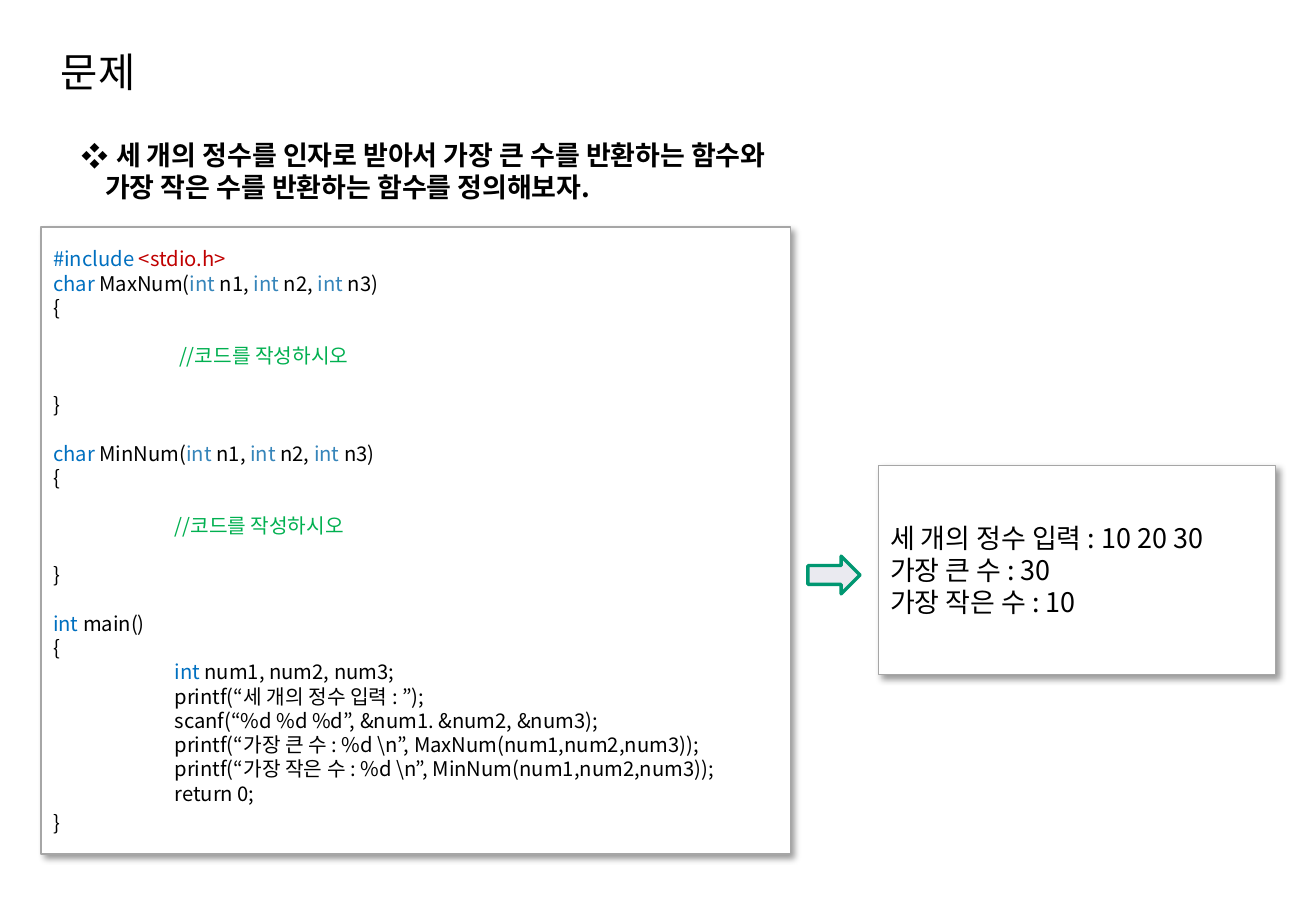
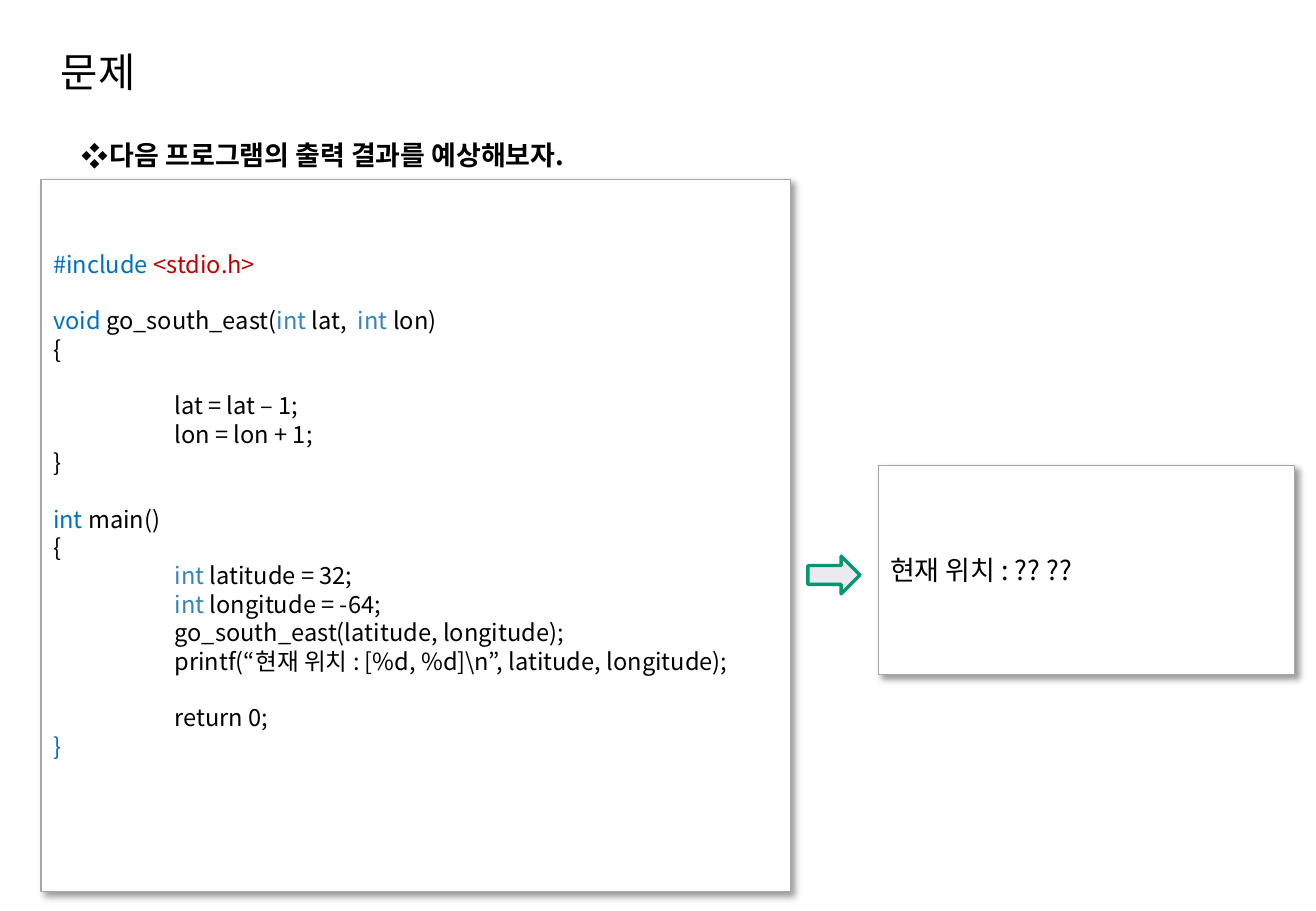
from dataclasses import dataclass

from lxml.etree import SubElement
from pptx import Presentation
from pptx.dml.color import RGBColor
from pptx.enum.shapes import MSO_SHAPE as SHAPE
from pptx.enum.text import MSO_ANCHOR as ANCHOR, PP_ALIGN as ALIGN
from pptx.oxml.ns import qn
from pptx.util import Cm, Pt

BLACK = RGBColor(0x00, 0x00, 0x00)
WHITE = RGBColor(0xFF, 0xFF, 0xFF)
GREY = RGBColor(0xA6, 0xA6, 0xA6)
BLUE = RGBColor(0x00, 0x70, 0xC0)
STEEL = RGBColor(0x36, 0x85, 0xBA)
RED = RGBColor(0xC0, 0x00, 0x00)
GREEN = RGBColor(0x00, 0xB0, 0x50)
TEAL = RGBColor(0x00, 0x97, 0x71)
NAVY = RGBColor(0x17, 0x17, 0x5C)

FONT = "Noto Sans CJK KR"
PITCH = 1.2
TAB = Cm(2.54)
TITLE_BOX = (Cm(1.02), Cm(0.81), Cm(15.9), Cm(1.37))
ARROW_BOX = (Cm(16.89), Cm(11.63), Cm(1.09), Cm(0.79))


@dataclass
class Line:
    """One line of text: coloured runs, tab depth and blank lines above it."""
    runs: list
    depth: int = 0
    gap: float = 0


def code(text, colour=BLACK, depth=0, gap=0):
    """Return a line of a single colour."""
    return Line([(text, colour)], depth, gap)


def declare(keyword, rest, colour=BLUE, depth=0, gap=0):
    """Return a line that opens with a coloured keyword."""
    return Line([(keyword + " ", colour), (rest, BLACK)], depth, gap)


def signature(kind, name, params, separator=", ", gap=1):
    """Return the head of a function whose parameters are all int."""
    runs = [(kind + " ", BLUE), (name + "(", BLACK)]
    for i, param in enumerate(params):
        end = ")" if i == len(params) - 1 else separator
        runs += [("int", STEEL), (f" {param}{end}", BLACK)]
    return Line(runs, 0, gap)


def style(r, size, colour=BLACK, bold=False):
    """Format a run, for Latin and Korean letters alike."""
    r.font.name, r.font.size, r.font.bold = FONT, Pt(size), bold
    r.font.color.rgb = colour
    SubElement(r.font._element, qn("a:ea"), typeface=FONT)


def add_lines(tf, lines, size):
    """Write the lines into a text frame, with gaps as paragraph spacing."""
    for i, line in enumerate(lines):
        p = tf.paragraphs[0] if i == 0 else tf.add_paragraph()
        p.alignment = ALIGN.LEFT
        p.line_spacing = Pt(size * PITCH)
        p.space_before = Pt(size * PITCH * line.gap)
        p._p.get_or_add_pPr().set("marL", str(TAB * line.depth))
        for text, colour in line.runs:
            r = p.add_run()
            r.text = text
            style(r, size, colour)


def add_title(s, text):
    """Place and format the slide title."""
    title = s.shapes.title
    title.left, title.top, title.width, title.height = TITLE_BOX
    tf = title.text_frame
    tf.text = text
    tf.vertical_anchor = ANCHOR.MIDDLE
    p = tf.paragraphs[0]
    p.alignment = ALIGN.LEFT
    style(p.runs[0], 24)


def add_task(s, box, lines):
    """Add the bold task, with a bullet on its first line."""
    tf = s.shapes.add_textbox(*box).text_frame
    tf.word_wrap = False
    tf.text = "\n".join(lines)
    for i, p in enumerate(tf.paragraphs):
        p.line_spacing = Pt(16 * PITCH)
        style(p.runs[0], 16, bold=True)
        pPr = p._p.get_or_add_pPr()
        if i == 0:
            pPr.set("marL", str(Cm(0.6)))
            pPr.set("indent", str(Cm(-0.6)))
            SubElement(pPr, qn("a:buFont"), typeface=FONT)
            SubElement(pPr, qn("a:buChar"), char="❖")
        else:
            pPr.set("marL", str(Cm(0.5)))


def add_panel(s, box, lines, size, bottom=0.13):
    """Add a white panel with a soft shadow and lines of text."""
    sp = s.shapes.add_shape(SHAPE.RECTANGLE, *box)
    sp.fill.solid()
    sp.fill.fore_color.rgb = WHITE
    sp.line.color.rgb = GREY
    sp.line.width = Pt(0.75)
    sp.shadow.inherit = False
    effects = sp._element.spPr.find(qn("a:effectLst"))
    shadow = SubElement(effects, qn("a:outerShdw"), blurRad=str(Pt(4)),
                        dist=str(Pt(3)), dir="2700000", algn="tl",
                        rotWithShape="0")
    colour = SubElement(shadow, qn("a:srgbClr"), val=str(BLACK))
    SubElement(colour, qn("a:alpha"), val="40000")
    tf = sp.text_frame
    tf.word_wrap = True
    tf.vertical_anchor = ANCHOR.MIDDLE
    tf.margin_bottom = Cm(bottom)
    add_lines(tf, lines, size)


def add_arrow(s):
    """Add the arrow that leads from the code to its output."""
    sp = s.shapes.add_shape(SHAPE.RIGHT_ARROW, *ARROW_BOX)
    sp.shadow.inherit = False
    sp.fill.solid()
    sp.fill.fore_color.rgb = NAVY
    colour = sp._element.spPr.find(qn("a:solidFill"))[0]
    SubElement(colour, qn("a:alpha"), val="9000")
    sp.line.color.rgb = TEAL
    sp.line.width = Pt(2)


def add_problem(prs, task, task_width, top, height, program, size,
                output, output_width, bottom=0.13):
    """Add a slide with a task, its program and the program's output."""
    s = prs.slides.add_slide(prs.slide_layouts[5])
    add_title(s, "문제")
    add_panel(s, (Cm(0.86), Cm(top), Cm(15.67), Cm(height)),
              program, size, bottom)
    add_panel(s, (Cm(18.36), Cm(9.73), Cm(output_width), Cm(4.37)),
              [code(text) for text in output], 16)
    add_arrow(s)
    add_task(s, (Cm(1.45), Cm(2.77), Cm(task_width), Cm(0.8 * len(task))),
             task)


def main():
    """Build and save the two problem slides."""
    prs = Presentation()
    prs.slide_width, prs.slide_height = Cm(27.51), Cm(19.05)

    include = Line([("#include ", BLUE), ("<stdio.h>", RED)])
    todo = "//코드를 작성하시오"
    numbers = ["n1", "n2", "n3"]
    extremes = [
        include,
        signature("char", "MaxNum", numbers, gap=0),
        code("{"),
        code(" " + todo, GREEN, 1, 1),
        code("}", gap=1),
        signature("char", "MinNum", numbers),
        code("{"),
        code(todo, GREEN, 1, 1),
        code("}", gap=1),
        declare("int", "main()", gap=1),
        code("{"),
        declare("int", "num1, num2, num3;", depth=1),
        code("printf(“세 개의 정수 입력 : ”);", depth=1),
        code("scanf(“%d %d %d”, &num1. &num2, &num3);", depth=1),
        code("printf(“가장 큰 수 : %d \\n”, MaxNum(num1,num2,num3));", depth=1),
        code("printf(“가장 작은 수 : %d \\n”, MinNum(num1,num2,num3));", depth=1),
        code("return 0;", depth=1),
        code("}", gap=0.2),
    ]
    position = [
        include,
        signature("void", "go_south_east", ["lat", "lon"], ",  "),
        code("{"),
        code("lat = lat – 1;", depth=1, gap=1),
        code("lon = lon + 1;", depth=1),
        code("}"),
        declare("int", "main()", gap=1),
        code("{"),
        declare("int", "latitude = 32;", STEEL, 1),
        declare("int", "longitude = -64;", STEEL, 1),
        code("go_south_east(latitude, longitude);", depth=1),
        code("printf(“현재 위치 : [%d, %d]\\n”, latitude, longitude);", depth=1),
        code("return 0;", depth=1, gap=1),
        code("}", BLUE),
    ]
    add_problem(prs,
                [" 세 개의 정수를 인자로 받아서 가장 큰 수를 반환하는 함수와",
                 "가장 작은 수를 반환하는 함수를 정의해보자."],
                16.54, 4.75, 13.11, extremes, 12,
                ["세 개의 정수 입력 : 10 20 30", "가장 큰 수 : 30",
                 "가장 작은 수 : 10"], 8.31)
    add_problem(prs, ["다음 프로그램의 출력 결과를 예상해보자."],
                11.51, 3.76, 14.88, position, 14,
                ["현재 위치 : ?? ??"], 8.71, bottom=1.42)
    prs.save("out.pptx")


if __name__ == "__main__":
    main()
